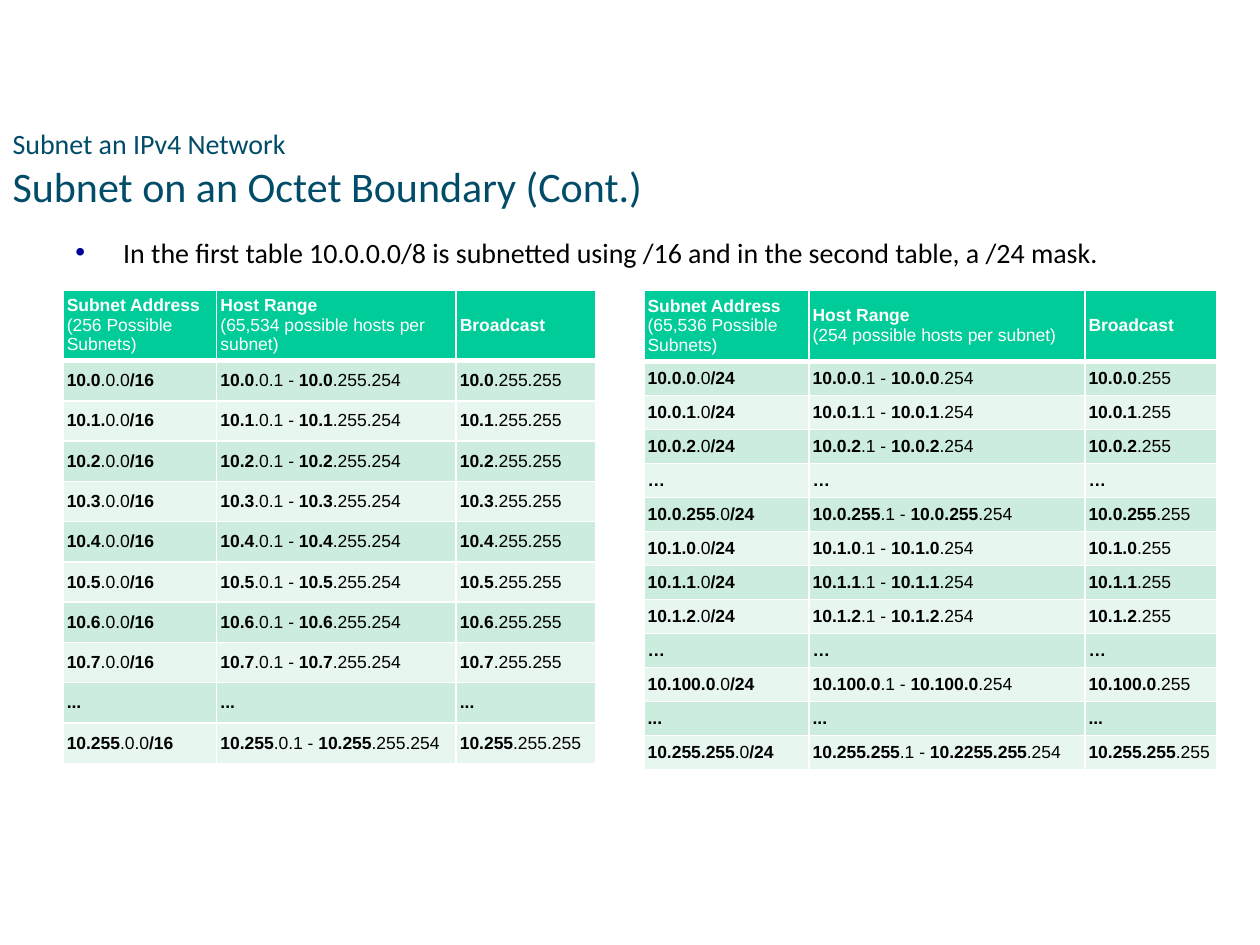
import copy
from dataclasses import dataclass

from lxml import etree
from pptx import Presentation, util as u
from pptx.dml.color import RGBColor
from pptx.enum import text as t
from pptx.oxml import ns

WHITE, BLACK, TEAL = "FFFFFF", "000000", "004C69"
HEADER_FILL, BAND_FILLS = "00CC99", ("CCECDE", "E7F6EF")
BULLET_COLOR = "000099"


@dataclass(frozen=True)
class Run:
    text: str
    bold: bool = False
    size: float | None = None


@dataclass(frozen=True)
class Subnet:
    prefix: str
    bold_address: str = ""  # bold part of the address, if not the prefix
    range_end: str = ""  # prefix of the last host, if not the same


@dataclass(frozen=True)
class SubnetTable:
    left: float
    columns: tuple[float, ...]
    header_height: float
    row_height: float
    mask: str
    subnet_count: str
    host_count: str
    zeros: str  # host octets of the network, first host, last host, broadcast
    first: str
    last: str
    broadcast: str
    rows: tuple[Subnet | str, ...]  # a string stands for skipped rows


TABLES = (
    SubnetTable(
        0.5, (1.22, 1.9, 1.11), 0.45, 0.32, "/16",
        "(256 Possible Subnets)", "(65,534 possible hosts per subnet)",
        ".0.0", ".0.1", ".255.254", ".255.255",
        (Subnet("10.0"), Subnet("10.1", bold_address="10.1."),
         *(Subnet(f"10.{octet}") for octet in range(2, 8)),
         "...", Subnet("10.255")),
    ),
    SubnetTable(
        5.11, (1.31, 2.19, 1.05), 0.57, 0.27, "/24",
        "(65,536 Possible Subnets)", "(254 possible hosts per subnet)",
        ".0", ".1", ".254", ".255",
        (*(Subnet(f"10.0.{octet}") for octet in range(3)), "…",
         Subnet("10.0.255"),
         *(Subnet(f"10.1.{octet}") for octet in range(3)), "…",
         Subnet("10.100.0"), "...",
         Subnet("10.255.255", range_end="10.2255.255")),
    ),
)


def rgb(color: str) -> RGBColor:
    return RGBColor.from_string(color)


def write_text(frame, runs: list[Run], *, font: str, color: str,
               size: float = 10, anchor=t.MSO_ANCHOR.MIDDLE):
    """Fill a frame with one paragraph; a run ending in a newline breaks the line."""
    frame.word_wrap = True
    frame.vertical_anchor = anchor
    paragraph = frame.paragraphs[0]
    paragraph.alignment = t.PP_ALIGN.LEFT
    for item in runs:
        run = paragraph.add_run()
        run.text = item.text.rstrip("\n")
        run.font.name, run.font.bold = font, item.bold
        run.font.size = u.Pt(item.size or size)
        run.font.color.rgb = rgb(color)
        if item.text.endswith("\n"):
            paragraph.add_line_break()
            paragraph._p[-1].append(copy.deepcopy(run._r.rPr))
    return paragraph


def set_bullet(paragraph, indent: float, color: str) -> None:
    properties = paragraph._p.get_or_add_pPr()
    properties.set("marL", str(u.Inches(indent)))
    properties.set("indent", str(-u.Inches(indent)))
    bullet_color = etree.SubElement(properties, ns.qn("a:buClr"))
    etree.SubElement(bullet_color, ns.qn("a:srgbClr"), val=color)
    etree.SubElement(properties, ns.qn("a:buFont"), typeface="Arial")
    etree.SubElement(properties, ns.qn("a:buChar"), char="•")


def set_borders(cell, bottom: float) -> None:
    properties = cell._tc.get_or_add_tcPr()
    for side, width in (("L", 1), ("R", 1), ("T", 1), ("B", bottom)):
        line = etree.SubElement(properties, ns.qn(f"a:ln{side}"), w=str(u.Pt(width)))
        fill = etree.SubElement(line, ns.qn("a:solidFill"))
        etree.SubElement(fill, ns.qn("a:srgbClr"), val=WHITE)


def header_cells(table: SubnetTable) -> list[list[Run]]:
    return [
        [Run("Subnet Address\n", True), Run(table.subnet_count)],
        [Run("Host Range\n", True), Run(table.host_count)],
        [Run("Broadcast", True)],
    ]


def subnet_cells(table: SubnetTable, subnet: Subnet | str) -> list[list[Run]]:
    if isinstance(subnet, str):
        return [[Run(subnet, True)]] * 3
    prefix = subnet.prefix
    address = prefix + table.zeros
    bold_address = subnet.bold_address or prefix
    return [
        [Run(bold_address, True), Run(address[len(bold_address):]),
         Run(table.mask, True)],
        [Run(prefix, True), Run(f"{table.first} - "),
         Run(subnet.range_end or prefix, True), Run(table.last)],
        [Run(prefix, True), Run(table.broadcast)],
    ]


def draw_table(slide, table: SubnetTable) -> None:
    contents = [header_cells(table)]
    contents += [subnet_cells(table, subnet) for subnet in table.rows]
    height = table.header_height + table.row_height * len(table.rows)
    grid = slide.shapes.add_table(
        len(contents), len(table.columns), u.Inches(table.left), u.Inches(2.3),
        u.Inches(sum(table.columns)), u.Inches(height)).table
    grid.horz_banding = False
    for column, width in zip(grid.columns, table.columns):
        column.width = u.Inches(width)

    for index, row_contents in enumerate(contents):
        is_header = index == 0
        row = grid.rows[index]
        row.height = u.Inches(table.header_height if is_header else table.row_height)
        for cell, runs in zip(row.cells, row_contents):
            cell.margin_left = cell.margin_right = u.Inches(0.03)
            cell.margin_top = cell.margin_bottom = u.Inches(0.03)
            cell.vertical_anchor = t.MSO_ANCHOR.MIDDLE
            set_borders(cell, bottom=3 if is_header else 1)
            cell.fill.solid()
            cell.fill.fore_color.rgb = rgb(
                HEADER_FILL if is_header else BAND_FILLS[(index - 1) % 2])
            write_text(cell.text_frame, runs, font="Arial",
                       color=WHITE if is_header else BLACK)


def main() -> None:
    presentation = Presentation()
    presentation.slide_width, presentation.slide_height = u.Inches(10), u.Inches(7.5)
    slide = presentation.slides.add_slide(presentation.slide_layouts[5])

    # Title
    title = slide.shapes.title
    title.left, title.top = u.Inches(0), u.Inches(0.94)
    title.width, title.height = u.Inches(9.13), u.Inches(0.8)
    write_text(title.text_frame,
               [Run("Subnet an IPv4 Network\n", size=16),
                Run("Subnet on an Octet Boundary (Cont.)", size=24)],
               font="Calibri", color=TEAL)

    # Introductory bullet
    intro = slide.shapes.add_textbox(
        u.Inches(0.5), u.Inches(1.82), u.Inches(9.06), u.Inches(0.4))
    paragraph = write_text(
        intro.text_frame,
        [Run("In the first table 10.0.0.0/8 is subnetted using /16 "
             "and in the second table, a /24 mask.")],
        font="Calibri", color=BLACK, size=16, anchor=t.MSO_ANCHOR.TOP)
    set_bullet(paragraph, 0.38, BULLET_COLOR)

    # Subnet tables
    for table in TABLES:
        draw_table(slide, table)

    presentation.save("out.pptx")


if __name__ == "__main__":
    main()
